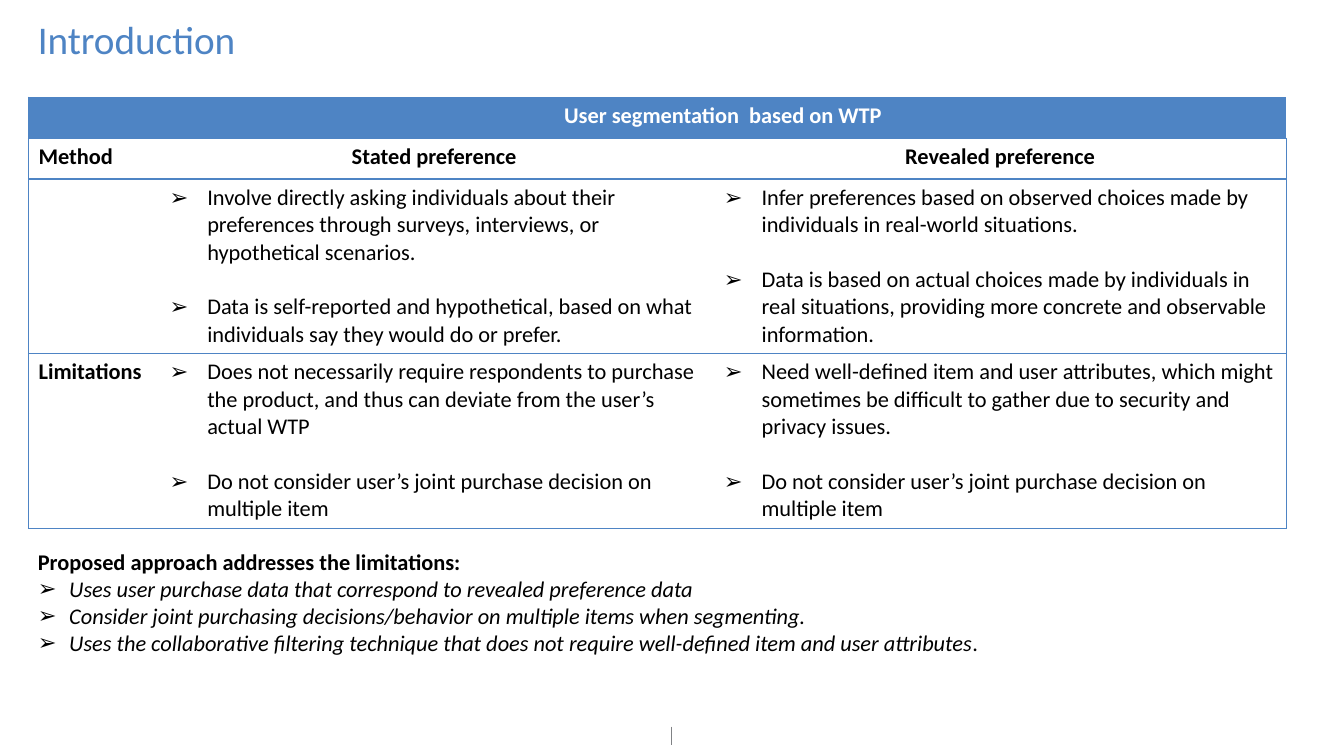
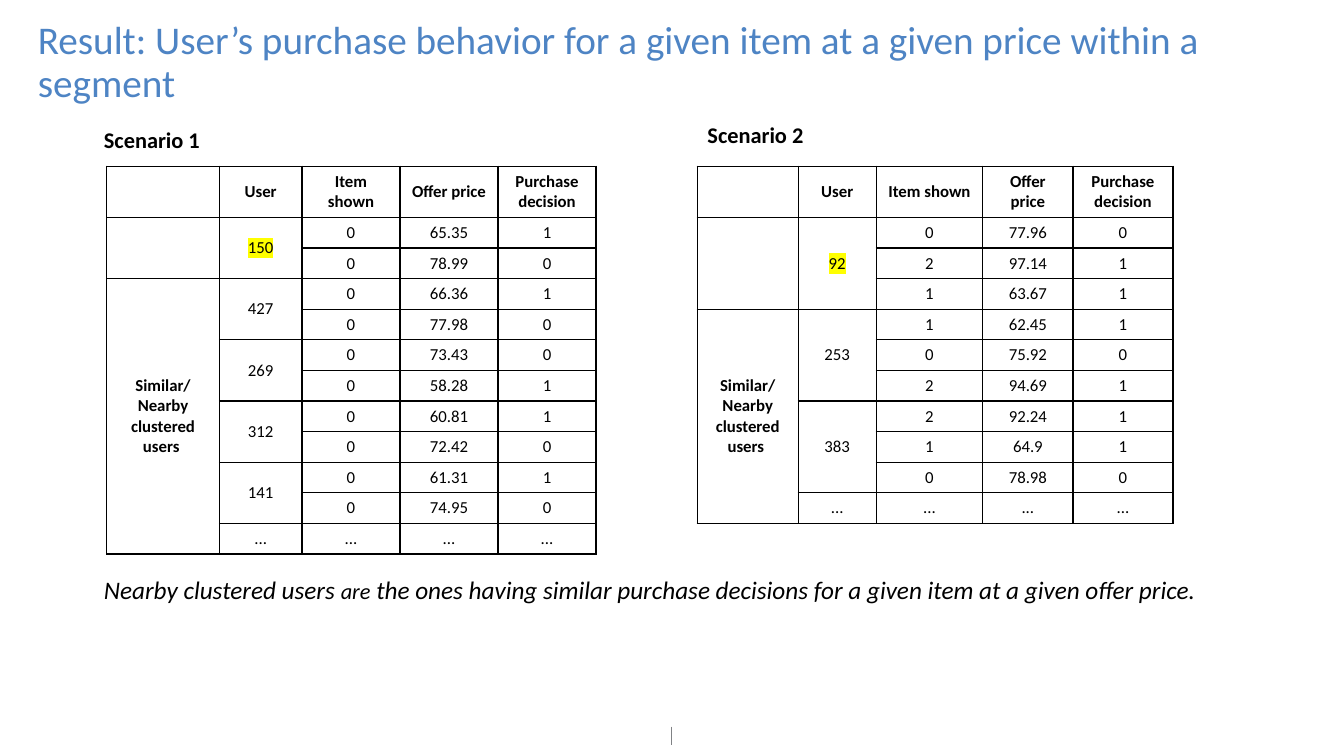
from dataclasses import dataclass

import pptx
import pptx.dml.color
import pptx.enum.shapes
import pptx.enum.text
import pptx.oxml
import pptx.oxml.ns
import pptx.util
from lxml import etree
from pptx.util import Cm, Pt

ALIGN = pptx.enum.text.PP_ALIGN
ANCHOR = pptx.enum.text.MSO_ANCHOR
qn = pptx.oxml.ns.qn


@dataclass(frozen=True)
class Theme:
    font: str = "Calibri"
    accent: str = "4E84C4"
    text: str = "000000"
    inverse: str = "FFFFFF"
    rule: str = "808285"
    highlight: str = "FFFF00"
    title_size: int = 28
    closing_size: int = 18
    body_size: int = 16
    data_size: int = 12
    bullet: str = "➢"
    bullet_gap: float = 19.5


THEME = Theme()


def rgb(color):
    return pptx.dml.color.RGBColor.from_string(color)


def write(frame, text, *, size=THEME.body_size, color=THEME.text, bold=False, italic=False,
          align=ALIGN.LEFT, indent=0, before=0, spacing=1.0, highlight=None):
    """Append a paragraph; text is a string or a list of (string, run overrides).

    A positive indent, in centimetres, gives the paragraph a hanging bullet.
    """
    paragraph = frame.add_paragraph() if frame.text else frame.paragraphs[0]
    paragraph.alignment = align
    paragraph.line_spacing = spacing
    paragraph.space_before = Pt(before)
    properties = paragraph._p.get_or_add_pPr()
    properties.set("marL", str(Cm(indent)))
    properties.set("indent", str(-Cm(indent)))
    if indent:
        etree.SubElement(properties, qn("a:buFont"), typeface="Wingdings")
        etree.SubElement(properties, qn("a:buChar"), char=THEME.bullet)
        properties.find(qn("a:buFont")).set("typeface", "Arial")
    else:
        etree.SubElement(properties, qn("a:buNone"))
    defaults = {"size": size, "bold": bold, "italic": italic}
    for content, overrides in [(text, {})] if isinstance(text, str) else text:
        style = {**defaults, **overrides}
        run = paragraph.add_run()
        run.text = content
        run.font.name = THEME.font
        run.font.size = Pt(style["size"])
        run.font.bold = style["bold"]
        run.font.italic = style["italic"]
        run.font.color.rgb = rgb(color)
        if highlight:
            mark = etree.Element(qn("a:highlight"))
            etree.SubElement(mark, qn("a:srgbClr"), val=highlight)
            run._r.rPr.find(qn("a:solidFill")).addnext(mark)


def set_borders(cell, sides, color):
    """Draw the named sides (L, R, T, B) and hide the others."""
    properties = cell._tc.get_or_add_tcPr()
    for side in "LRTB":
        line = etree.SubElement(properties, qn(f"a:ln{side}"), w=str(Pt(1)))
        if side in sides:
            fill = etree.SubElement(line, qn("a:solidFill"))
            etree.SubElement(fill, qn("a:srgbClr"), val=color)
        else:
            etree.SubElement(line, qn("a:noFill"))


class Deck:
    """Holds the presentation, its style and the current slide."""

    def __init__(self):
        self.presentation = pptx.Presentation()
        self.presentation.slide_width = Cm(33.87)
        self.presentation.slide_height = Cm(19.05)
        self.slide = None

    def add_slide(self, title, layout_name, title_width):
        layout = self.presentation.slide_layouts.get_by_name(layout_name)
        self.slide = self.presentation.slides.add_slide(layout)
        frame = self.place(self.slide.shapes.title, 0.7, 0.4, title_width, 2.06)
        write(frame, title, size=THEME.title_size, color=THEME.accent, spacing=0.9)
        self.add_line(16.92, 18.31, 16.92, 18.77)

    def place(self, shape, left, top, width, height):
        """Position a text shape and return its frame, wrapped and top-anchored."""
        shape.left, shape.top = Cm(left), Cm(top)
        shape.width, shape.height = Cm(width), Cm(height)
        frame = shape.text_frame
        frame.word_wrap = True
        frame.auto_size = pptx.enum.text.MSO_AUTO_SIZE.NONE
        frame.vertical_anchor = ANCHOR.TOP
        return frame

    def add_line(self, left, top, right, bottom):
        line = self.slide.shapes.add_connector(
            pptx.enum.shapes.MSO_CONNECTOR.STRAIGHT, Cm(left), Cm(top), Cm(right), Cm(bottom))
        line.line.color.rgb = rgb(THEME.rule)
        line.line.width = Pt(1)
        etree.SubElement(line._element.spPr, qn("a:effectLst"))

    def add_text(self, text, left, top, width, height, **style):
        box = self.slide.shapes.add_textbox(0, 0, 0, 0)
        write(self.place(box, left, top, width, height), text, **style)

    def add_list(self, heading, items, left, top, width, height):
        frame = self.place(self.slide.placeholders[1], left, top, width, height)
        write(frame, heading, bold=True)
        for item in items:
            write(frame, item, italic=True, indent=0.79)

    def add_table(self, left, top, widths, heights, *, size, color, inner_verticals=True):
        """Add an unfilled ruled table; size keeps blank cells from growing their rows."""
        frame = self.slide.shapes.add_table(len(heights), len(widths), Cm(left), Cm(top),
                                            Cm(sum(widths)), Cm(sum(heights)))
        table = frame.table
        table.first_row = table.horz_banding = False
        for column, width in zip(table.columns, widths):
            column.width = Cm(width)
        for row, height in zip(table.rows, heights):
            row.height = Cm(height)
            for index, cell in enumerate(row.cells):
                sides = "TB"
                if inner_verticals or index == 0:
                    sides += "L"
                if inner_verticals or index == len(widths) - 1:
                    sides += "R"
                set_borders(cell, sides, color)
                cell.fill.background()
                etree.SubElement(cell.text_frame.paragraphs[0]._p, qn("a:endParaRPr"),
                                 sz=str(size * 100))
        return table

    def add_scenario(self, name, label_left, label_top, left, widths, purchases):
        """Add a label and a table of purchases grouped by user, the target user first."""
        self.add_text(name, label_left, label_top, 3.63, 0.94, bold=True)
        row_count = sum(len(rows) for _, rows in purchases)
        table = self.add_table(left, 4.19, widths, [1.29] + [0.77] * row_count,
                               size=THEME.data_size, color=THEME.text)

        def fill(row, column, *lines, span=1, **style):
            cell = table.cell(row, column)
            if span > 1:
                cell.merge(table.cell(row + span - 1, column))
            cell.vertical_anchor = ANCHOR.MIDDLE
            for line in lines:
                write(cell.text_frame, line, size=THEME.data_size, align=ALIGN.CENTER, **style)

        for column, heading in enumerate(SCENARIO_HEADINGS, 1):
            fill(0, column, heading, bold=True)
        target_count = len(purchases[0][1])
        fill(1, 0, span=target_count)
        fill(1 + target_count, 0, "Similar/", "Nearby clustered users ",
             span=row_count - target_count, bold=True)
        row = 1
        for user, rows in purchases:
            fill(row, 1, user, span=len(rows), highlight=THEME.highlight if row == 1 else None)
            for values in rows:
                for column, value in enumerate(values, 2):
                    fill(row, column, value)
                row += 1


METHODS = [
    ("", [
        ["Involve directly asking individuals about their preferences through surveys, "
         "interviews, or hypothetical scenarios.",
         "Data is self-reported and hypothetical, based on what individuals say they would "
         "do or prefer."],
        ["Infer preferences based on observed choices made by individuals in real-world "
         "situations.",
         "Data is based on actual choices made by individuals in real situations, providing "
         "more concrete and observable information."],
    ]),
    ("Limitations", [
        ["Does not necessarily require respondents to purchase the product, and thus can "
         "deviate from the user’s actual WTP",
         "Do not consider user’s joint purchase decision on multiple item"],
        ["Need well-defined item and user attributes, which might sometimes be difficult to "
         "gather due to security and privacy issues.",
         "Do not consider user’s joint purchase decision on multiple item"],
    ]),
]
APPROACH = [
    "Uses user purchase data that correspond to revealed preference data",
    "Consider joint purchasing decisions/behavior on multiple items when segmenting.",
    [("Uses the collaborative filtering technique that does not require well-defined item "
      "and user attributes", {}), (".", {"italic": False})],
]
SCENARIO_HEADINGS = ["User", "Item shown", "Offer price", "Purchase decision"]
MORE = ("...", [("...", "...", "...")])
SCENARIO_1 = [
    ("150", [("0", "65.35", "1"), ("0", "78.99", "0")]),
    ("427", [("0", "66.36", "1"), ("0", "77.98", "0")]),
    ("269", [("0", "73.43", "0"), ("0", "58.28", "1")]),
    ("312", [("0", "60.81", "1"), ("0", "72.42", "0")]),
    ("141", [("0", "61.31", "1"), ("0", "74.95", "0")]),
    MORE,
]
SCENARIO_2 = [
    ("92", [("0", "77.96", "0"), ("2", "97.14", "1"), ("1", "63.67", "1")]),
    ("253", [("1", "62.45", "1"), ("0", "75.92", "0"), ("2", "94.69", "1")]),
    ("383", [("2", "92.24", "1"), ("1", "64.9", "1"), ("0", "78.98", "0")]),
    MORE,
]


def build_introduction(deck):
    deck.add_slide("Introduction", "Title and Content", 29.21)
    table = deck.add_table(0.72, 2.45, [3.3, 13.97, 14.43], [1.03, 1.03, 4.4, 4.4],
                           size=THEME.body_size, color=THEME.accent, inner_verticals=False)
    table.cell(0, 1).merge(table.cell(0, 2))
    for cell in table.rows[0].cells:
        cell.fill.solid()
        cell.fill.fore_color.rgb = rgb(THEME.accent)
    write(table.cell(0, 1).text_frame, "User segmentation  based on WTP",
          color=THEME.inverse, bold=True, align=ALIGN.CENTER)
    for column, heading in enumerate(["Method", "Stated preference ", "Revealed preference"]):
        write(table.cell(1, column).text_frame, heading, bold=True,
              align=ALIGN.CENTER if column else ALIGN.LEFT)
    for row, (label, columns) in enumerate(METHODS, 2):
        if label:
            write(table.cell(row, 0).text_frame, label, bold=True)
        for column, points in enumerate(columns, 1):
            for index, point in enumerate(points):
                write(table.cell(row, column).text_frame, point, indent=0.95,
                      before=THEME.bullet_gap if index else 0)
    deck.add_list("Proposed approach addresses the limitations:", APPROACH,
                  0.7, 13.69, 26.72, 3)


def build_result(deck):
    deck.add_slide("Result: User’s purchase behavior for a given item at a given price "
                   "within a segment", "Title Only", 32.69)
    deck.add_scenario("Scenario 1", 2.37, 3.05, 2.69, [2.84, 2.08, 2.47, 2.47, 2.47], SCENARIO_1)
    deck.add_scenario("Scenario 2", 17.58, 2.92, 17.57, [2.55, 1.96, 2.69, 2.27, 2.52], SCENARIO_2)
    deck.add_text([("Nearby clustered users ", {}), ("are", {"size": THEME.body_size}),
                   (" the ones having similar purchase decisions for a given item at a given "
                    "offer price.", {})],
                  2.37, 14.35, 28.58, 1.02, size=THEME.closing_size, italic=True)


def main():
    deck = Deck()
    build_introduction(deck)
    build_result(deck)
    deck.presentation.save("out.pptx")


if __name__ == "__main__":
    main()
